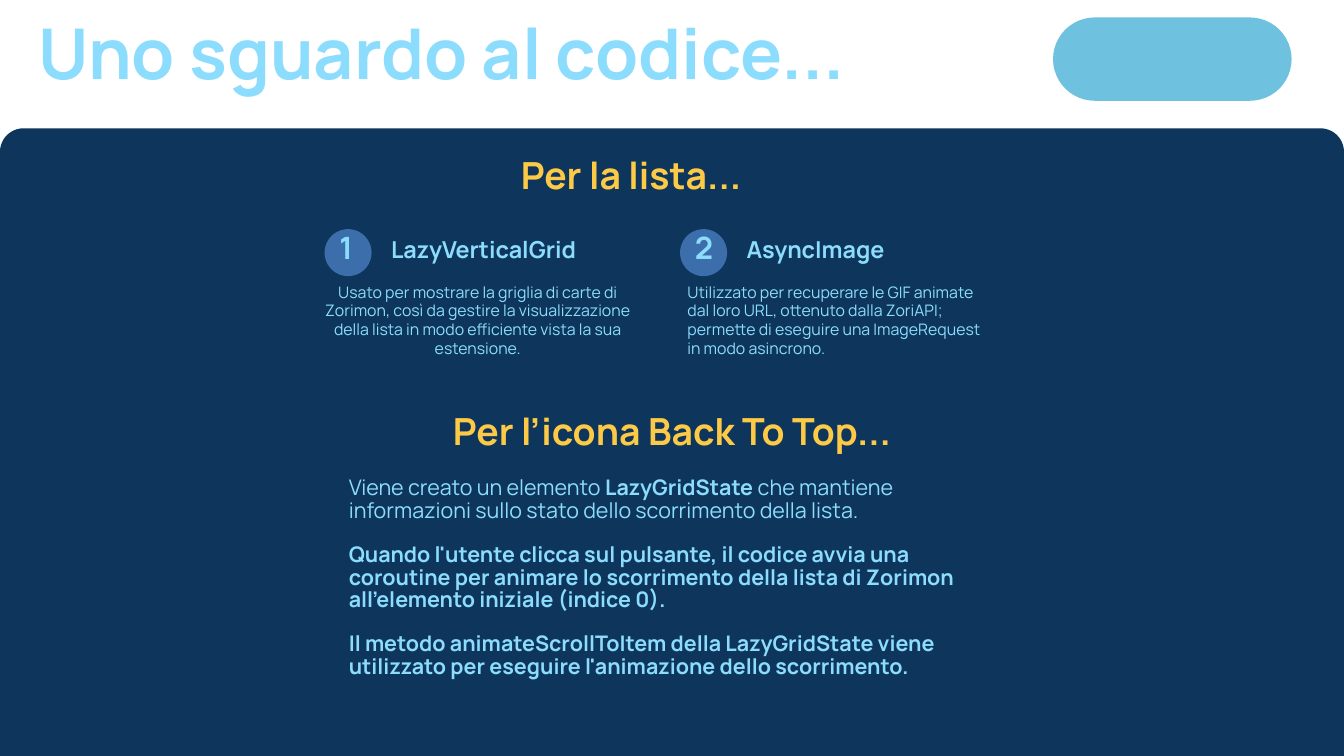
from lxml import etree
from pptx import Presentation
from pptx import util as u
from pptx.dml.color import RGBColor
from pptx.enum import shapes, text
from pptx.oxml.ns import qn

COLORS = {
    "panel": "0E355B",
    "badge": "3C6EAB",
    "pill": "6FC1E0",
    "text": "8CDDFD",
    "heading": "FCCA46",
}
FONT = "Manrope"

LIST_ITEMS = [
    ("LazyVerticalGrid",
     "Usato per mostrare la griglia di carte di Zorimon, così da gestire la "
     "visualizzazione della lista in modo efficiente vista la sua estensione.",
     0, 4.56, text.PP_ALIGN.CENTER),
    ("AsyncImage",
     "Utilizzato per recuperare le GIF animate dal loro URL, ottenuto dalla ZoriAPI; "
     "permette di eseguire una ImageRequest in modo asincrono.",
     0.11, 4.6, text.PP_ALIGN.LEFT),
]
SCROLL_NOTES = [
    [("Viene creato un elemento ", False), ("LazyGridState ", True),
     ("che mantiene informazioni sullo stato dello scorrimento della lista.", False)],
    [("Quando l'utente clicca sul pulsante, il codice avvia una coroutine per animare "
      "lo scorrimento della lista di Zorimon all'elemento iniziale (indice 0).", True)],
    [("Il metodo animateScrollToItem della LazyGridState viene utilizzato per eseguire "
      "l'animazione dello scorrimento.", True)],
]


def place(shape, left, top, width, height):
    """Move and size a shape in inches."""
    shape.left, shape.top = u.Inches(left), u.Inches(top)
    shape.width, shape.height = u.Inches(width), u.Inches(height)


def prepare_frame(shape):
    """Return the text frame of a shape, wrapped, top-anchored and without margins."""
    frame = shape.text_frame
    frame.word_wrap = True
    frame.auto_size = text.MSO_AUTO_SIZE.NONE
    frame.vertical_anchor = text.MSO_ANCHOR.TOP
    frame.margin_left = frame.margin_right = frame.margin_top = frame.margin_bottom = 0
    return frame


def format_paragraph(paragraph, size, spacing, color="text", bold=True,
                     align=text.PP_ALIGN.LEFT):
    """Set the alignment, line spacing and font of a paragraph."""
    paragraph.alignment = align
    paragraph.line_spacing = u.Pt(spacing)
    for run in paragraph.runs:
        run.font.name, run.font.size, run.font.bold = FONT, u.Pt(size), bold
        run.font.color.rgb = RGBColor.from_string(COLORS[color])


def add_label(slide, box, label, size, spacing, **style):
    """Add a one-paragraph text box."""
    shape = slide.shapes.add_textbox(*map(u.Inches, box))
    frame = prepare_frame(shape)
    frame.text = label
    format_paragraph(frame.paragraphs[0], size, spacing, **style)
    return shape


def add_block(slide, kind, box, color):
    """Add a plain filled shape."""
    shape = slide.shapes.add_shape(kind, *map(u.Inches, box))
    shape.shadow.inherit = False
    shape.fill.solid()
    shape.fill.fore_color.rgb = RGBColor.from_string(COLORS[color])
    shape.line.fill.background()
    return shape


def build_header(slide, left, top):
    """Place the slide title and the pill on its right."""
    title = slide.shapes.title
    place(title, left, top, 13.93, 1.22)
    frame = prepare_frame(title)
    frame.text = "Uno sguardo al codice..."
    format_paragraph(frame.paragraphs[0], 75, 80.2)
    pill = add_block(slide, shapes.MSO_SHAPE.ROUNDED_RECTANGLE,
                     (left + 15.1, top - 0.02, 3.55, 1.24), "pill")
    pill.adjustments[0] = 0.5


def build_panel(slide, left, top, width, height):
    """Place the dark panel with rounded top corners behind everything else."""
    panel = add_block(slide, shapes.MSO_SHAPE.ROUND_2_SAME_RECTANGLE,
                      (left, top, width, height), "panel")
    panel.adjustments[0] = 0.35 / height
    slide.shapes._spTree.insert(2, panel._element)


def build_heading(slide, left, top, label):
    """Place a centred section heading."""
    add_label(slide, (left, top, 9.8, 0.66), label, 40, 42.8,
              color="heading", align=text.PP_ALIGN.CENTER)


def build_list_item(slide, left, top, number, item):
    """Place a numbered badge with its name and description."""
    name, description, indent, width, align = item
    add_block(slide, shapes.MSO_SHAPE.OVAL, (left, top, 0.7, 0.7), "badge")
    digit = add_label(slide, (left + 0.22, top + 0.07, 0.4, 0.52), str(number), 32.9, 34.2)
    digit.text_frame.paragraphs[0].runs[0].font._element.set("spc", "-120")
    add_label(slide, (left + 0.99, top + 0.15, 4.2, 0.4), name, 25, 26)
    add_label(slide, (left + indent, top + 0.8, width, 1.11), description, 17, 19.9,
              bold=False, align=align)


def build_notes(slide, left, top, width, height):
    """Fill the body placeholder with the scrolling paragraphs."""
    body = slide.placeholders[1]
    place(body, left, top, width, height)
    frame = prepare_frame(body)
    for index, parts in enumerate(SCROLL_NOTES):
        paragraph = frame.add_paragraph() if index else frame.paragraphs[0]
        for words, _ in parts:
            paragraph.add_run().text = words
        format_paragraph(paragraph, 23, 23.9)
        for run, (_, bold) in zip(paragraph.runs, parts):
            run.font.bold = bold
        paragraph.space_before = u.Pt(23.9 if index else 0)
        properties = paragraph._p.get_or_add_pPr()
        properties.set("marL", "0")
        properties.set("indent", "0")
        etree.SubElement(properties, qn("a:buNone"))


def main():
    """Build and save the presentation."""
    presentation = Presentation()
    presentation.slide_width, presentation.slide_height = u.Inches(20), u.Inches(11.25)
    slide = presentation.slides.add_slide(presentation.slide_layouts[1])
    build_panel(slide, 0, 1.91, 20, 9.34)
    build_header(slide, 0.57, 0.28)
    build_heading(slide, 4.49, 2.33, "Per la lista...")
    for index, item in enumerate(LIST_ITEMS):
        build_list_item(slide, 4.83 + 5.29 * index, 3.41, index + 1, item)
    build_heading(slide, 5.1, 6.15, "Per l’icona Back To Top...")
    build_notes(slide, 5.19, 7.11, 9.71, 3.25)
    presentation.save("out.pptx")


if __name__ == "__main__":
    main()
